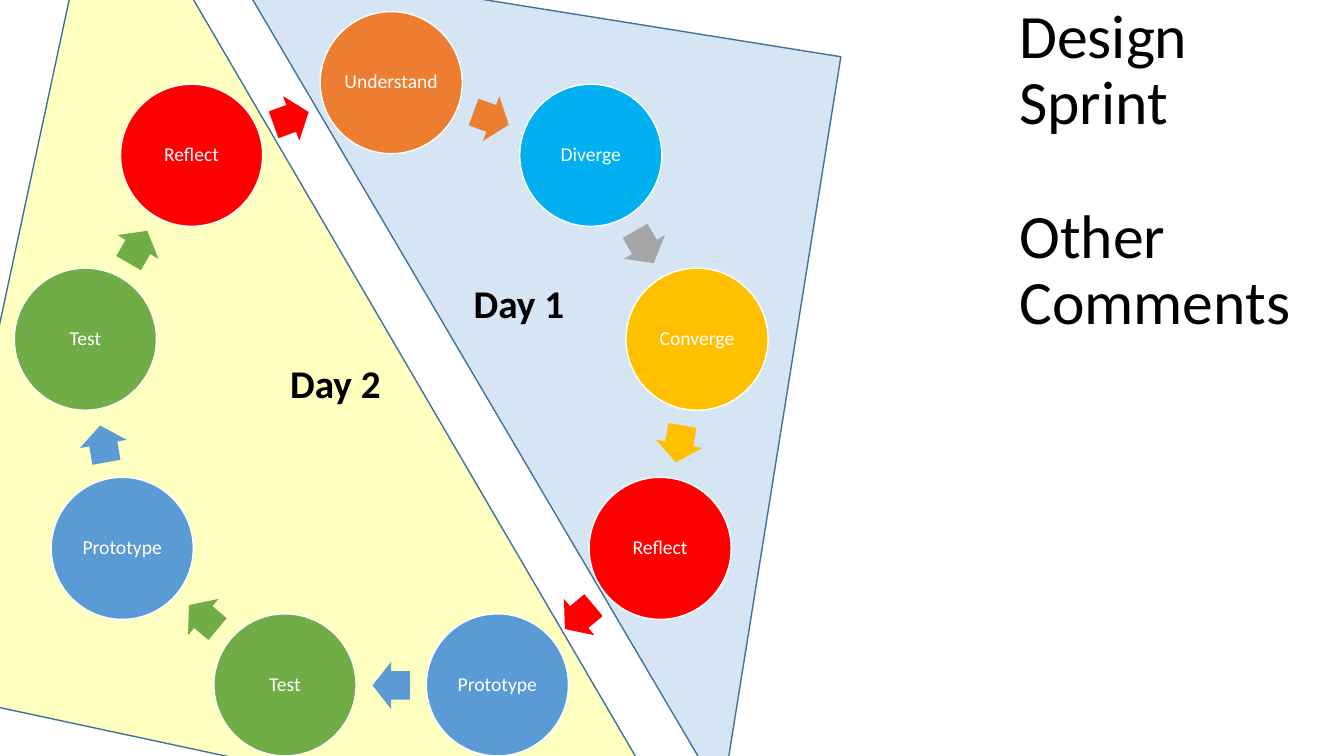
from math import cos, radians, sin

from lxml.etree import SubElement
from pptx import Presentation
from pptx.dml.color import RGBColor
from pptx.enum.shapes import MSO_SHAPE as Kind
from pptx.enum.text import MSO_ANCHOR as Anchor, MSO_AUTO_SIZE as Fit, PP_ALIGN as Align
from pptx.oxml.ns import qn
from pptx.util import Pt

PX = 9144
BLACK = RGBColor(0, 0, 0)
WHITE = RGBColor(255, 255, 255)
YELLOW = RGBColor(255, 255, 0)
ORANGE = RGBColor(0xED, 0x7D, 0x31)
CYAN = RGBColor(0x00, 0xB0, 0xF0)
GRAY = RGBColor(0xA5, 0xA5, 0xA5)
GOLD = RGBColor(0xFF, 0xC0, 0x00)
RED = RGBColor(0xFF, 0x00, 0x00)
BLUE = RGBColor(0x5B, 0x9B, 0xD5)
GREEN = RGBColor(0x70, 0xAD, 0x47)
NAVY = RGBColor(0x42, 0x71, 0x9B)

deck = Presentation()
deck.slide_width = 1333 * PX
deck.slide_height = 750 * PX
slide = deck.slides.add_slide(deck.slide_layouts[5])
shapes = slide.shapes


def draw(kind, box, fill, line=None, turn=0):
    shape = shapes.add_shape(kind, *[round(n * PX) for n in box])
    shape.shadow.inherit = False
    shape.rotation = turn
    shape.fill.solid()
    shape.fill.fore_color.rgb = fill
    if line is None:
        shape.line.fill.background()
    else:
        shape.line.color.rgb = line
        shape.line.width = Pt(1)
    return shape


def style(para, size, color, bold=False):
    for run in para.runs:
        run.font.name = "Calibri"
        run.font.size = Pt(size)
        run.font.color.rgb = color
        run.font.bold = bold


halves = [
    ((3, -82, 784, 859), YELLOW, 12.1),
    ((164, 3, 615, 744), BLUE, 189.1),
]
for box, fill, turn in halves:
    half = draw(Kind.RIGHT_TRIANGLE, box, fill, NAVY, turn)
    tint = half.fill._xPr.find(qn("a:solidFill")).find(qn("a:srgbClr"))
    SubElement(tint, qn("a:alpha")).set("val", "25000")

title = shapes.title
title.left, title.top, title.width, title.height = [n * PX for n in (1001, 0, 332, 750)]
frame = title.text_frame
frame.text = "Design Sprint\nOther Comments"
frame.word_wrap = True
frame.auto_size = Fit.NONE
frame.vertical_anchor = Anchor.TOP
for para in frame.paragraphs:
    para.alignment = Align.LEFT
    para.line_spacing = 0.9
    style(para, 44, BLACK)
frame.paragraphs[1].space_before = Pt(48)

steps = [
    ("Understand", ORANGE, ORANGE),
    ("Diverge", CYAN, GRAY),
    ("Converge", GOLD, GOLD),
    ("Reflect", RED, RED),
    ("Prototype", BLUE, BLUE),
    ("Test", GREEN, GREEN),
    ("Prototype", BLUE, BLUE),
    ("Test", GREEN, GREEN),
    ("Reflect", RED, RED),
]
mid_x, mid_y = 388, 390
ring, track = 308, 290
disc = 141
wide, high = 37, 47
pitch = 360 / len(steps)
for i, (name, fill, tip) in enumerate(steps):
    turn = i * pitch
    x = mid_x + ring * sin(radians(turn))
    y = mid_y - ring * cos(radians(turn))
    step = draw(Kind.OVAL, (x - disc / 2, y - disc / 2, disc, disc), fill, WHITE)
    frame = step.text_frame
    frame.text = name
    frame.word_wrap = True
    frame.vertical_anchor = Anchor.MIDDLE
    frame.margin_left = frame.margin_right = 2 * PX
    frame.margin_top = frame.margin_bottom = 2 * PX
    para = frame.paragraphs[0]
    para.alignment = Align.CENTER
    para.line_spacing = 0.9
    style(para, 14, WHITE)

    turn += pitch / 2
    x = mid_x + track * sin(radians(turn))
    y = mid_y - track * cos(radians(turn))
    arrow = draw(Kind.RIGHT_ARROW, (x - wide / 2, y - high / 2, wide, high), tip, turn=turn)
    arrow.adjustments[0] = 0.6
    arrow.adjustments[1] = 0.5

for name, x, y in [("Day 1", 460, 272), ("Day 2", 278, 352)]:
    label = shapes.add_textbox(x * PX, y * PX, 116 * PX, 57 * PX)
    label.text_frame.text = name
    style(label.text_frame.paragraphs[0], 28, BLACK, True)

deck.save("out.pptx")
